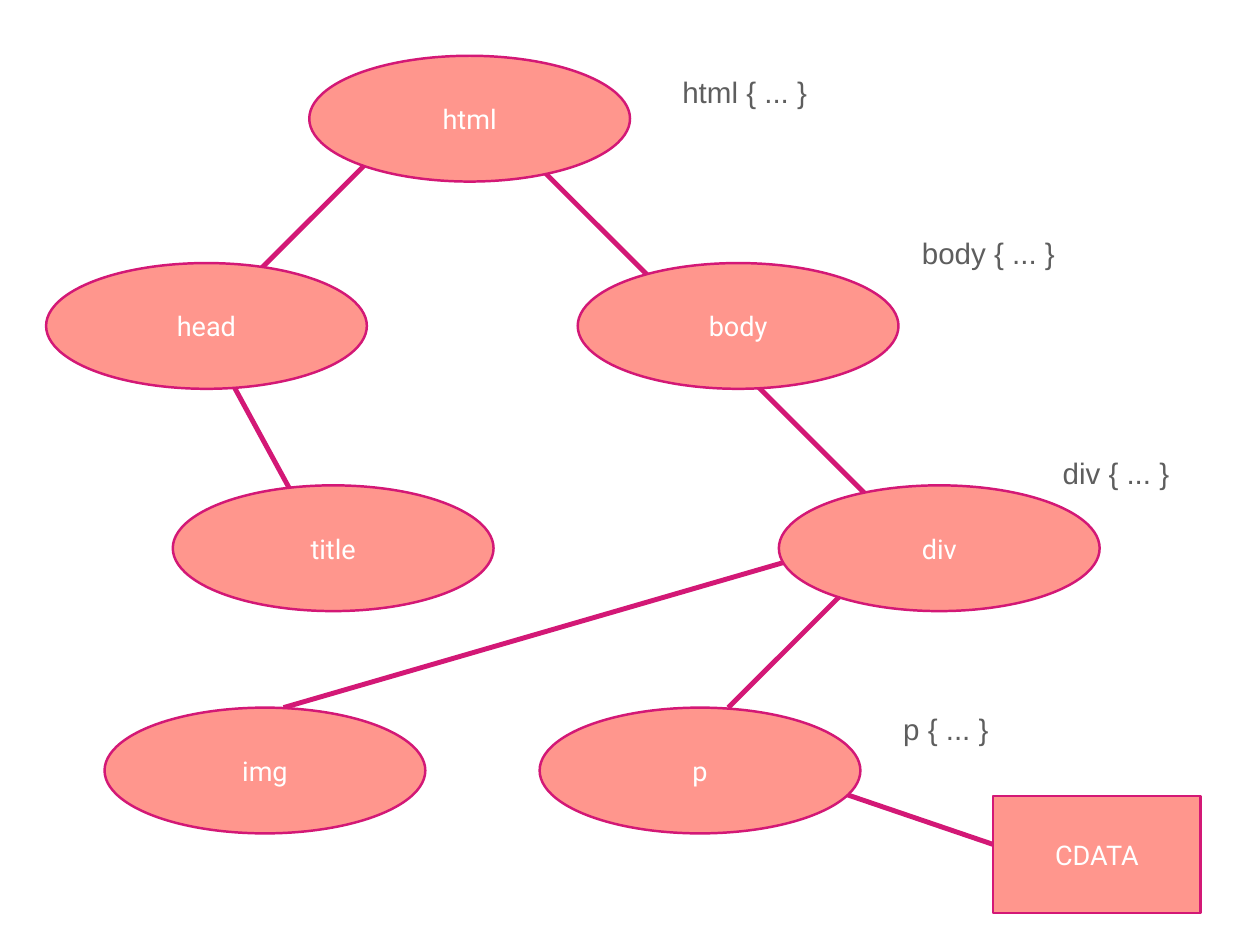
from dataclasses import dataclass

from lxml.etree import SubElement
from pptx import Presentation
from pptx.dml.color import RGBColor
from pptx.enum.shapes import MSO_CONNECTOR, MSO_SHAPE
from pptx.enum.text import MSO_ANCHOR, MSO_AUTO_SIZE, PP_ALIGN
from pptx.oxml.ns import qn
from pptx.util import Inches, Pt


@dataclass(frozen=True)
class Theme:
    node_fill: RGBColor = RGBColor(0xFF, 0x96, 0x8D)
    outline: RGBColor = RGBColor(0xD3, 0x18, 0x76)
    node_text: RGBColor = RGBColor(0xFF, 0xFF, 0xFF)
    rule_text: RGBColor = RGBColor(0x5E, 0x5E, 0x5E)
    node_font: str = "Roboto"
    rule_font: str = "Arial"
    node_size: int = 22
    rule_size: int = 24
    outline_width: int = 2
    branch_width: int = 4
    inset: float = 0.06


THEME = Theme()
TREE_BOX = (0.52, 0.63)
ELLIPSE_SIZE = (3.62, 1.42)
CDATA_SIZE = (2.34, 1.32)
RULE_HEIGHT = 0.51
ROWS = (0, 2.34, 4.85, 7.36)

ELEMENTS = [
    ("html", 2.97, ROWS[0]),
    ("head", 0, ROWS[1]),
    ("body", 6, ROWS[1]),
    ("title", 1.43, ROWS[2]),
    ("div", 8.27, ROWS[2]),
    ("img", 0.66, ROWS[3]),
    ("p", 5.57, ROWS[3]),
]
CDATA_AT = (10.69, 8.36)
BRANCHES = [
    ((2.26, 2.57), (3.65, 1.18)),
    ((2.82, 5.02), (1.9, 3.33)),
    ((2.68, 7.36), (8.88, 5.56)),
    ((7.7, 7.36), (9.09, 5.97)),
    ((6.88, 2.57), (5.49, 1.18)),
    ((9.28, 4.98), (7.89, 3.59)),
    ((10.91, 8.98), (8.62, 8.2)),
]
RULES = [
    ("body", 9.82, 1.97, 1.63),
    ("div", 11.41, 4.45, 1.33),
    ("p", 9.61, 7.34, 1.09),
    ("html", 7.12, 0.15, 1.53),
]


def place(box, x, y):
    return Inches(box[0] + x), Inches(box[1] + y)


def write_text(shape, text, font_name, size, color):
    frame = shape.text_frame
    frame.text = text
    frame.vertical_anchor = MSO_ANCHOR.MIDDLE
    frame.margin_left = frame.margin_right = Inches(THEME.inset)
    frame.margin_top = frame.margin_bottom = Inches(THEME.inset)
    paragraph = frame.paragraphs[0]
    paragraph.alignment = PP_ALIGN.CENTER
    font = paragraph.runs[0].font
    font.name = font_name
    font.size = Pt(size)
    font.color.rgb = color


def add_branches(slide, box):
    group = slide.shapes.add_group_shape()
    for child, parent in BRANCHES:
        branch = group.shapes.add_connector(
            MSO_CONNECTOR.STRAIGHT, *place(box, *child), *place(box, *parent)
        )
        branch.line.color.rgb = THEME.outline
        branch.line.width = Pt(THEME.branch_width)
        SubElement(branch._element.spPr, qn("a:effectLst"))


def add_node(group, kind, name, position, size):
    node = group.shapes.add_shape(kind, *position, *map(Inches, size))
    node.shadow.inherit = False
    node.fill.solid()
    node.fill.fore_color.rgb = THEME.node_fill
    node.line.color.rgb = THEME.outline
    node.line.width = Pt(THEME.outline_width)
    write_text(node, name, THEME.node_font, THEME.node_size, THEME.node_text)


def add_nodes(slide, box):
    group = slide.shapes.add_group_shape()
    for name, x, y in ELEMENTS:
        add_node(group, MSO_SHAPE.OVAL, name, place(box, x, y), ELLIPSE_SIZE)
    add_node(group, MSO_SHAPE.RECTANGLE, "CDATA", place(box, *CDATA_AT), CDATA_SIZE)


def add_rules(slide, box):
    for selector, x, y, width in RULES:
        label = slide.shapes.add_textbox(
            *place(box, x, y), Inches(width), Inches(RULE_HEIGHT)
        )
        write_text(
            label, f"{selector} {{ ... }}",
            THEME.rule_font, THEME.rule_size, THEME.rule_text,
        )
        label.text_frame.word_wrap = False
        label.text_frame.auto_size = MSO_AUTO_SIZE.SHAPE_TO_FIT_TEXT


def main():
    presentation = Presentation()
    presentation.slide_width = Inches(14.22)
    presentation.slide_height = Inches(10.67)
    slide = presentation.slides.add_slide(presentation.slide_layouts[6])
    add_branches(slide, TREE_BOX)
    add_nodes(slide, TREE_BOX)
    add_rules(slide, TREE_BOX)
    presentation.save("out.pptx")


if __name__ == "__main__":
    main()
